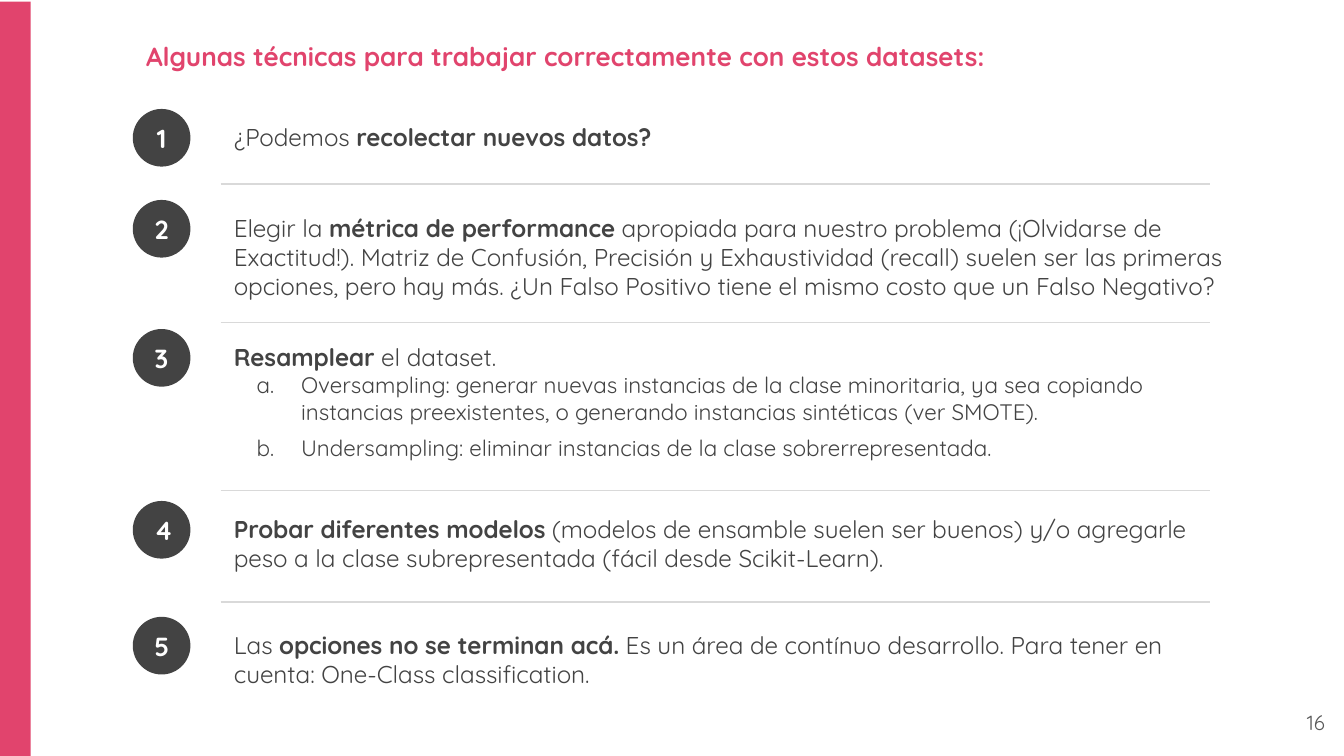
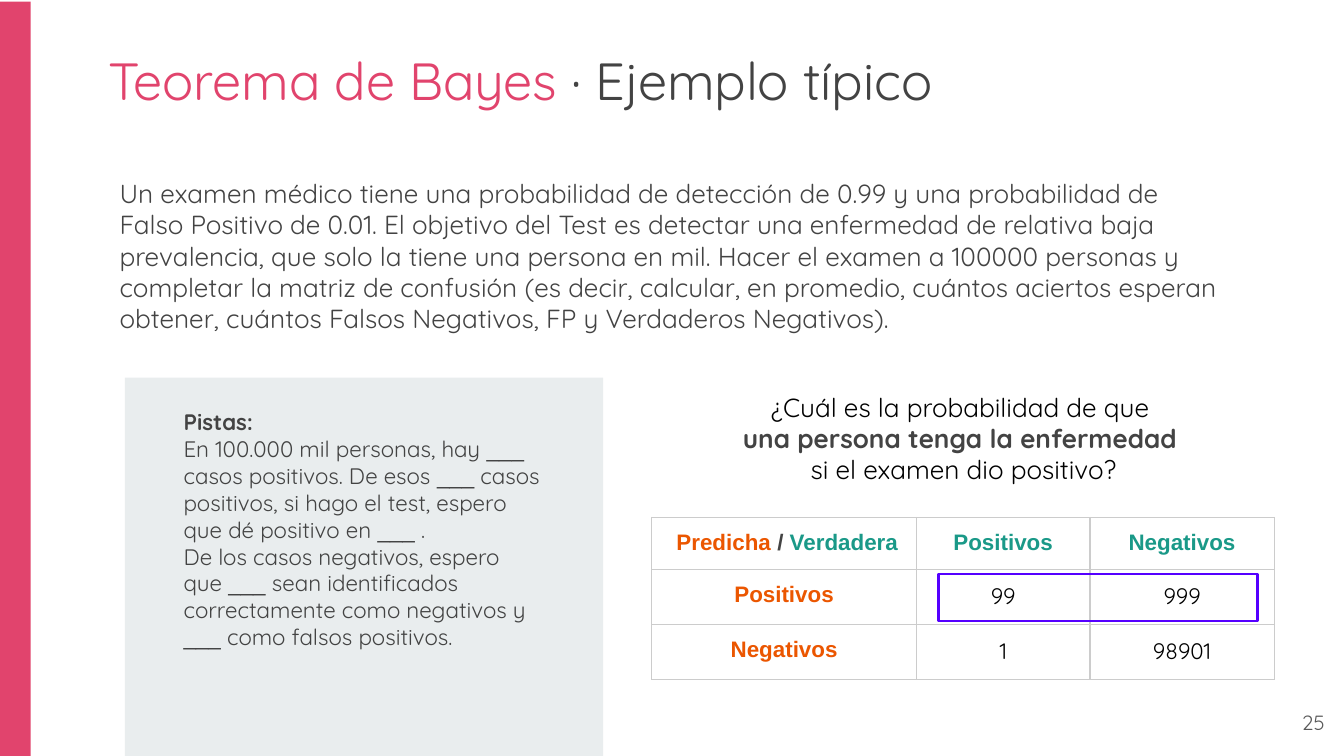
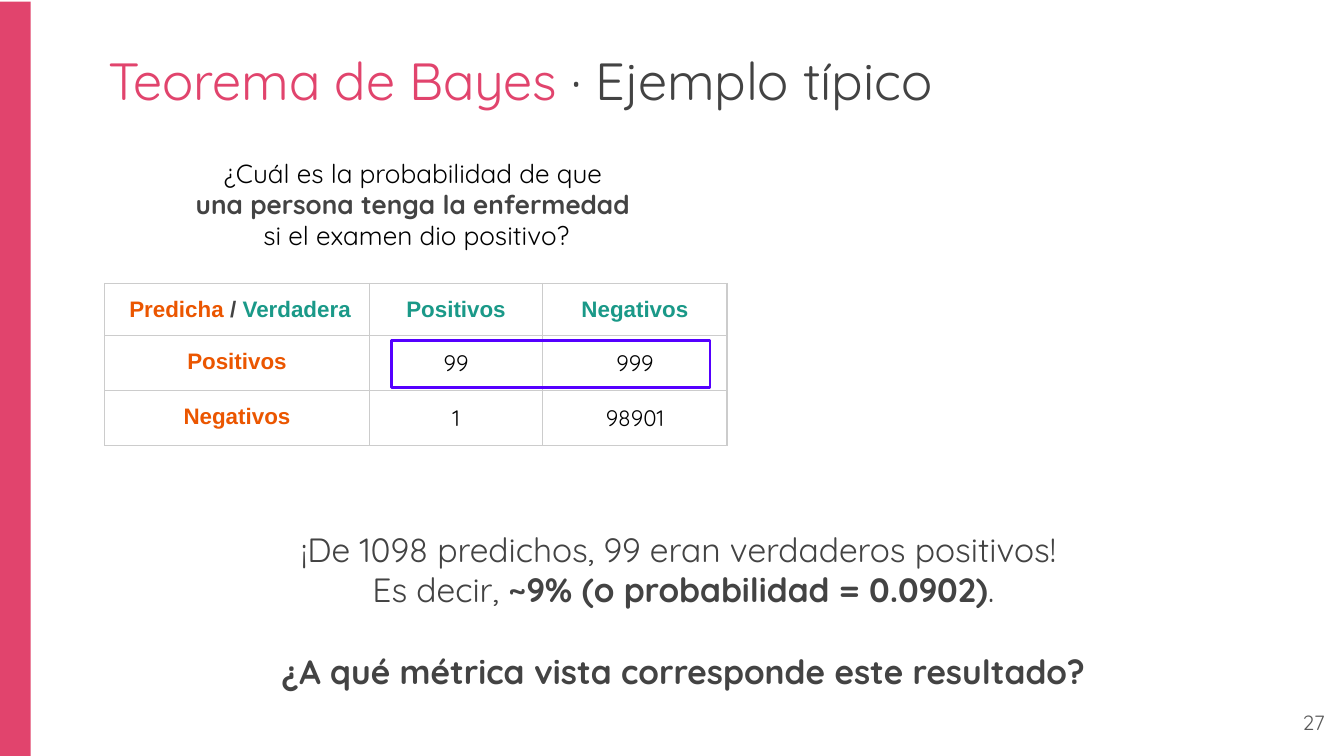
import pptx
import pptx.dml.color
import pptx.enum.shapes
import pptx.enum.text
import pptx.oxml
import pptx.oxml.ns
import pptx.util

Cm = pptx.util.Cm
Pt = pptx.util.Pt
RGBColor = pptx.dml.color.RGBColor
Align = pptx.enum.text.PP_ALIGN
Anchor = pptx.enum.text.MSO_ANCHOR
Shape = pptx.enum.shapes.MSO_SHAPE

PINK = RGBColor(0xE1, 0x44, 0x6D)
DARK = RGBColor(0x43, 0x43, 0x43)
GREY = RGBColor(0x59, 0x59, 0x59)
RULE = RGBColor(0xD9, 0xD9, 0xD9)
GRID = RGBColor(0xCC, 0xCC, 0xCC)
PANEL = RGBColor(0xE9, 0xED, 0xEE)
ORANGE = RGBColor(0xEB, 0x56, 0x00)
TEAL = RGBColor(0x1A, 0x99, 0x88)
VIOLET = RGBColor(0x55, 0x00, 0xFF)
BLACK = RGBColor(0, 0, 0)
WHITE = RGBColor(0xFF, 0xFF, 0xFF)

FONT = "Quicksand"
LABEL_FONT = "Arial"
INSET = Cm(0.25)
WIDTH, HEIGHT = Cm(25.4), Cm(14.29)
TITLE_ONLY, TITLE_AND_BODY = 5, 1

BOLD = {"bold": True}
BLANK = ("___", {"font": LABEL_FONT})

STEPS = [  # top, width and height in cm, text, sub-steps
    (2.06, 17.78, 1.09, ["¿Podemos ", ("recolectar nuevos datos?", BOLD)], []),
    (3.78, 19.18, 2.16,
     ["Elegir la ", ("métrica de performance", BOLD),
      " apropiada para nuestro problema (¡Olvidarse de Exactitud!). Matriz de "
      "Confusión, Precisión y Exhaustividad (recall) suelen ser las primeras "
      "opciones, pero hay más. ¿Un Falso Positivo tiene el mismo costo que un "
      "Falso Negativo?"], []),
    (6.22, 17.78, 1.09, [("Resamplear", BOLD), " el dataset."],
     ["Oversampling: generar nuevas instancias de la clase minoritaria, ya sea "
      "copiando instancias preexistentes, o generando instancias sintéticas "
      "(ver SMOTE).",
      "Undersampling: eliminar instancias de la clase sobrerrepresentada."]),
    (9.47, 19.18, 1.65,
     [("Probar diferentes modelos", BOLD),
      " (modelos de ensamble suelen ser buenos) y/o agregarle peso a la clase "
      "subrepresentada (fácil desde Scikit-Learn)."], []),
    (11.66, 19.18, 1.65,
     ["Las ", ("opciones no se terminan acá.", BOLD),
      " Es un área de contínuo desarrollo. Para tener en cuenta: One-Class "
      "classification."], []),
]
RULE_TOPS = [3.48, 6.1, 9.27, 11.38]

MATRIX = [
    [[(" Predicha ", {"color": ORANGE}), ("/", {"color": DARK}), " Verdadera"],
     ["Positivos"], ["Negativos"]],
    [["Positivos"], ["99"], ["999"]],
    [["Negativos"], ["1"], ["98901"]],
]


def write_para(para, spans, size=14, color=DARK, font=FONT, bold=False,
               align=Align.LEFT, before=0, after=0):
    """Fill a paragraph with spans: plain strings or (text, own format) pairs."""
    para.alignment = align
    para.space_before, para.space_after = Pt(before), Pt(after)
    for item in spans:
        text, own = (item, {}) if isinstance(item, str) else item
        span = para.add_run()
        span.text = text
        span.font.size = Pt(size)
        span.font.name = own.get("font", font)
        span.font.bold = own.get("bold", bold)
        span.font.color.rgb = own.get("color", color)


def write(frame, paras, anchor=Anchor.TOP, **style):
    frame.word_wrap = True
    frame.auto_size = pptx.enum.text.MSO_AUTO_SIZE.NONE
    frame.vertical_anchor = anchor
    frame.margin_left = frame.margin_right = INSET
    frame.margin_top = frame.margin_bottom = INSET
    for index, spans in enumerate(paras):
        para = frame.paragraphs[0] if index == 0 else frame.add_paragraph()
        write_para(para, spans, **style)


def place(shape, left, top, width, height):
    shape.left, shape.top, shape.width, shape.height = left, top, width, height


def add_text(page, box, paras, **style):
    text = page.shapes.add_textbox(*box)
    write(text.text_frame, paras, **style)
    return text


def add_shape(page, kind, box, fill=None, line=None):
    shape = page.shapes.add_shape(kind, *box)
    shape.shadow.inherit = False
    if fill is None:
        shape.fill.background()
    else:
        shape.fill.solid()
        shape.fill.fore_color.rgb = fill
    if line is None:
        shape.line.fill.background()
    else:
        shape.line.color.rgb = line
        shape.line.width = Pt(1.5)
    return shape


def add_rule(page, left, top, width):
    rule = page.shapes.add_connector(
        pptx.enum.shapes.MSO_CONNECTOR.STRAIGHT, left, top, left + width, top)
    rule.line.color.rgb = RULE
    rule.line.width = Pt(0.75)
    rule.element.spPr.append(pptx.oxml.parse_xml(
        f"<a:effectLst {pptx.oxml.ns.nsdecls('a')}/>"))


def set_list_level(para, left=0, hanging=0, bullet="buNone"):
    props = para._p.get_or_add_pPr()
    props.set("marL", str(left))
    props.set("indent", str(-hanging))
    props.append(pptx.oxml.parse_xml(
        f"<a:{bullet} {pptx.oxml.ns.nsdecls('a')}/>"))


def add_band(deck, page):
    """Put the side band on the master, behind its placeholders."""
    top = Cm(0.03)
    band = add_shape(page, Shape.RECTANGLE, (0, top, Cm(0.58), HEIGHT - top), PINK)
    band.element.nvSpPr.cNvPr.set("id", "100")
    deck.slide_master.shapes.element.insert(2, band.element)


def add_page(deck, layout, number):
    page = deck.slides.add_slide(deck.slide_layouts[layout])
    add_text(page, (Cm(23.77), Cm(13.18), Cm(1.52), Cm(1.09)), [[str(number)]],
             size=11, color=GREY, align=Align.RIGHT)
    return page


def add_title(page, box, spans, **style):
    place(page.shapes.title, *box)
    write(page.shapes.title.text_frame, [spans], **style)


def add_step(page, left, top, width, height, number, spans, substeps):
    """A numbered disc with its text to the right; sub-steps use the body."""
    size = Cm(1.09)
    disc = add_shape(page, Shape.OVAL, (left, top, size, size), DARK)
    write(disc.text_frame, [[str(number)]], anchor=Anchor.MIDDLE, color=WHITE,
          bold=True, align=Align.CENTER)
    box = (left + Cm(1.66), top, width, height)
    if not substeps:
        add_text(page, box, [spans], size=13)
        return
    body = page.placeholders[1]
    place(body, *box)
    write(body.text_frame, [spans], size=13)
    set_list_level(body.text_frame.paragraphs[0])
    for index, substep in enumerate(substeps):
        para = body.text_frame.add_paragraph()
        gap = 5 if index else 0
        write_para(para, [substep], size=12, before=gap, after=gap)
        set_list_level(para, Cm(1.27), Cm(0.84),
                       'buAutoNum type="alphaLcPeriod"')


def add_matrix(page, left, top):
    widths = [Cm(5), Cm(3.28), Cm(3.48)]
    heights = [Cm(0.98), Cm(1.04), Cm(1.04)]
    frame = page.shapes.add_table(3, 3, left, top, sum(widths), sum(heights))
    table = frame.table
    table.first_row = table.horz_banding = False
    for column, width in zip(table.columns, widths):
        column.width = width
    for r, height in enumerate(heights):
        table.rows[r].height = height
        for c, spans in enumerate(MATRIX[r]):
            cell = table.cell(r, c)
            cell.margin_left = cell.margin_right = INSET
            cell.margin_top = cell.margin_bottom = INSET
            cell.fill.background()
            is_label = r == 0 or c == 0
            color = TEAL if r == 0 else ORANGE if c == 0 else BLACK
            write_para(cell.text_frame.paragraphs[0], spans, size=12, color=color,
                       font=LABEL_FONT if is_label else FONT, bold=is_label,
                       align=Align.CENTER)
    for props in frame.element.iter(pptx.oxml.ns.qn("a:tcPr")):
        for index, side in enumerate("LRTB"):
            props.insert(index, pptx.oxml.parse_xml(
                f"<a:ln{side} {pptx.oxml.ns.nsdecls('a')} w='{Pt(0.75)}'>"
                f"<a:solidFill><a:srgbClr val='{GRID}'/></a:solidFill></a:ln{side}>"))


def add_question(page, left, top):
    """The question, its confusion matrix and the frame on the predicted positives."""
    add_matrix(page, left, top + Cm(2.64))
    add_text(page, (left + Cm(1.02), top, Cm(9.75), Cm(2.26)),
             [["¿Cuál es la probabilidad de que "],
              [("una persona tenga la enfermedad ", {"bold": True, "color": DARK})],
              ["si el examen dio positivo?"]],
             color=BLACK, align=Align.CENTER)
    add_shape(page, Shape.RECTANGLE,
              (left + Cm(5.42), top + Cm(3.71), Cm(6.02), Cm(0.89)), line=VIOLET)


def add_hints(page, left, top, width, height):
    add_shape(page, Shape.RECTANGLE, (left, top, width, height), PANEL)
    add_text(page, (left + Cm(0.86), top + Cm(0.33), Cm(7.32), Cm(5.74)),
             [[("Pistas:", BOLD)],
              ["En 100.000 mil personas, hay ", BLANK, " casos positivos. De esos ",
               BLANK, " casos positivos, si hago el test, espero que dé positivo en ",
               BLANK, " ."],
              ["De los casos negativos, espero que ", BLANK,
               " sean identificados correctamente como negativos y ", BLANK,
               " como falsos positivos."]],
             size=12)


def add_bayes_page(deck, number):
    page = add_page(deck, TITLE_ONLY, number)
    add_title(page, (Cm(1.8), Cm(0.66), Cm(21.69), Cm(1.57)),
              [("Teorema de Bayes ", {"color": PINK}), "· Ejemplo típico"], size=28)
    return page


def build_techniques(deck):
    page = add_page(deck, TITLE_AND_BODY, 16)
    add_band(deck, page)
    left = Cm(2.51)
    add_title(page, (left, Cm(0.51), Cm(20.85), Cm(1.09)),
              ["Algunas técnicas para trabajar correctamente con estos datasets:"],
              color=PINK, bold=True)
    for number, (top, width, height, spans, substeps) in enumerate(STEPS, 1):
        add_step(page, left, Cm(top), Cm(width), Cm(height), number, spans, substeps)
    for top in RULE_TOPS:
        add_rule(page, left + Cm(1.66), Cm(top), Cm(18.69))


def build_exercise(deck):
    page = add_bayes_page(deck, 25)
    add_text(page, (Cm(2.01), Cm(3.1), Cm(21.26), Cm(0.89)),
             [["Un examen médico tiene una probabilidad de detección de 0.99 y una "
               "probabilidad de Falso Positivo de 0.01. El objetivo del Test es "
               "detectar una enfermedad de relativa baja prevalencia, que solo la "
               "tiene una persona en mil. Hacer el examen a 100000 personas y "
               "completar la matriz de confusión (es decir, calcular, en promedio, "
               "cuántos aciertos esperan obtener, cuántos Falsos Negativos, FP y "
               "Verdaderos Negativos)."]])
    top = Cm(7.14)
    add_hints(page, Cm(2.36), top, Cm(9.04), HEIGHT - top)
    add_question(page, Cm(12.32), top)


def build_answer(deck):
    page = add_bayes_page(deck, 27)
    add_question(page, Cm(1.98), Cm(2.72))
    answer = add_text(
        page, (Cm(2.64), Cm(9.75), Cm(20.55), Cm(2.31)),
        [["¡De 1098 predichos, 99 eran verdaderos positivos! "],
         ["Es decir, ", ("~9% (o probabilidad = 0.0902)", BOLD), "."],
         [("¿A qué métrica vista corresponde este resultado?", BOLD)]],
        size=18, align=Align.CENTER)
    answer.text_frame.paragraphs[-1].space_before = Pt(22)


def main():
    deck = pptx.Presentation()
    deck.slide_width, deck.slide_height = WIDTH, HEIGHT
    build_techniques(deck)
    build_exercise(deck)
    build_answer(deck)
    deck.save("out.pptx")


if __name__ == "__main__":
    main()
